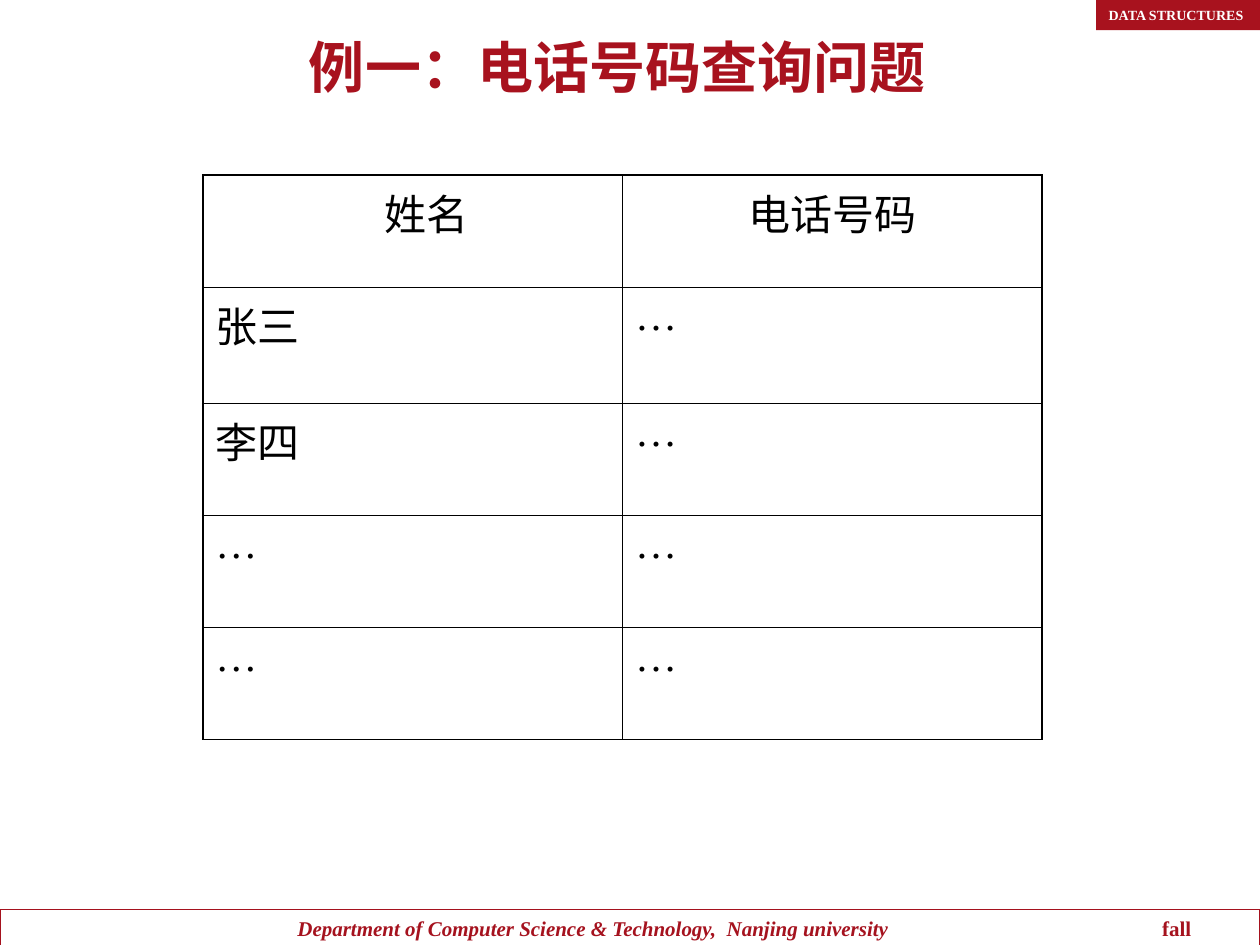
"""Builds the phone number lookup slide."""
from dataclasses import dataclass

from lxml import etree
from pptx import Presentation
from pptx.dml.color import RGBColor
from pptx.enum.shapes import MSO_SHAPE
from pptx.enum.text import MSO_ANCHOR, PP_ALIGN
from pptx.oxml.ns import qn
from pptx.util import Inches, Pt

RECTANGLE = MSO_SHAPE.RECTANGLE
LEFT, CENTER = PP_ALIGN.LEFT, PP_ALIGN.CENTER
TOP, MIDDLE, BOTTOM = MSO_ANCHOR.TOP, MSO_ANCHOR.MIDDLE, MSO_ANCHOR.BOTTOM


@dataclass(frozen=True)
class Theme:
    """Colours, fonts and sizes of the slide."""
    red: str = "A8121E"
    frame: str = "A5121E"
    ink: str = "000000"
    paper: str = "FFFFFF"
    font: str = "Times New Roman"
    asian_font: str = "宋体"
    title: float = 32
    body: float = 24
    footer: float = 12
    tag: float = 8
    frame_line: float = 0.74
    outer_line: float = 1.08
    inner_line: float = 0.45


def write(frame, text, theme, *, size, color, bold=False, italic=False,
          align=LEFT, before=0):
    """Put one formatted paragraph into a text frame."""
    para = frame.paragraphs[0]
    para.alignment = align
    para.space_before = Pt(before)
    span = para.add_run()
    span.text = text
    font = span.font
    font.name, font.size, font.bold, font.italic = theme.font, Pt(size), bold, italic
    font.color.rgb = RGBColor.from_string(color)
    properties = font._element
    properties.set("lang", "en-US" if text.isascii() else "zh-CN")
    asian = etree.Element(qn("a:ea"), typeface=theme.asian_font)
    properties.find(qn("a:latin")).addnext(asian)


def add_border(cell, side, width, color):
    """Draw one side (L, R, T or B) of a table cell."""
    line = etree.SubElement(cell._tc.get_or_add_tcPr(), qn(f"a:ln{side}"),
                            w=str(Pt(width)))
    fill = etree.SubElement(line, qn("a:solidFill"))
    etree.SubElement(fill, qn("a:srgbClr"), val=color)


class Painter:
    """Holds the theme and the current slide."""

    def __init__(self, page, theme):
        """Keep the slide and its style."""
        self.page, self.theme = page, theme

    def text(self, text, area, anchor=MIDDLE, **style):
        """Add a wrapped text box."""
        box = self.page.shapes.add_textbox(*map(Inches, area))
        box.text_frame.word_wrap = True
        box.text_frame.vertical_anchor = anchor
        write(box.text_frame, text, self.theme, **style)

    def bar(self, text, area, fill=None, line=None, right=0.1, **style):
        """Add a rectangle with text centred in its height."""
        box = self.page.shapes.add_shape(RECTANGLE, *map(Inches, area))
        box.shadow.inherit = False
        if fill:
            box.fill.solid()
            box.fill.fore_color.rgb = RGBColor.from_string(fill)
        else:
            box.fill.background()
        if line:
            box.line.color.rgb = RGBColor.from_string(line)
            box.line.width = Pt(self.theme.frame_line)
        else:
            box.line.fill.background()
        frame = box.text_frame
        frame.word_wrap = True
        frame.vertical_anchor = MIDDLE
        frame.margin_left, frame.margin_right = Inches(0.1), Inches(right)
        frame.margin_top = frame.margin_bottom = 0
        write(frame, text, self.theme, **style)

    def table(self, rows, left, top, widths, heights):
        """Add a ruled table with a centred heading row."""
        theme = self.theme
        last_row, last_column = len(heights) - 1, len(widths) - 1
        table = self.page.shapes.add_table(
            len(heights), len(widths), Inches(left), Inches(top),
            Inches(sum(widths)), Inches(sum(heights))).table
        table.first_row = table.horz_banding = False
        for column, width in zip(table.columns, widths):
            column.width = Inches(width)
        for r, height in enumerate(heights):
            table.rows[r].height = Inches(height)
            for c, text in enumerate(rows[r]):
                cell = table.cell(r, c)
                outer = {"L": c == 0, "R": c == last_column,
                         "T": r == 0, "B": r == last_row}
                for side, is_outer in outer.items():
                    width = theme.outer_line if is_outer else theme.inner_line
                    add_border(cell, side, width, theme.ink)
                cell.fill.background()
                cell.vertical_anchor = TOP
                write(cell.text_frame, text, theme, size=theme.body,
                      color=theme.ink, align=LEFT if r else CENTER, before=6)
        return table


def main():
    """Build and save the deck."""
    theme = Theme()
    deck = Presentation()
    deck.slide_width, deck.slide_height = Inches(10), Inches(7.5)
    painter = Painter(deck.slides.add_slide(deck.slide_layouts[6]), theme)

    footer = dict(size=theme.footer, color=theme.frame, bold=True, align=CENTER)
    painter.bar("Department of Computer Science & Technology,  Nanjing university",
                (0, 7.22, 10, 0.3), line=theme.frame, right=0.68,
                italic=True, **footer)
    painter.text("fall", (8.84, 7.22, 1, 0.3), **footer)
    painter.bar("DATA STRUCTURES", (8.7, 0, 1.3, 0.24), fill=theme.red,
                right=0, size=theme.tag, color=theme.paper, bold=True)

    rows = [("姓名", "电话号码"), ("张三", "…"), ("李四", "…"),
            ("…", "…"), ("…", "…")]
    table = painter.table(rows, 1.61, 1.39, [3.33] * 2,
                          [0.89, 0.92, 0.89, 0.89, 0.89])
    table.cell(0, 0).margin_left = Inches(0.32)

    painter.text("例一：电话号码查询问题", (0, 0, 9.8, 0.84), anchor=BOTTOM,
                 size=theme.title, color=theme.red, bold=True, align=CENTER)
    deck.save("out.pptx")


main()
